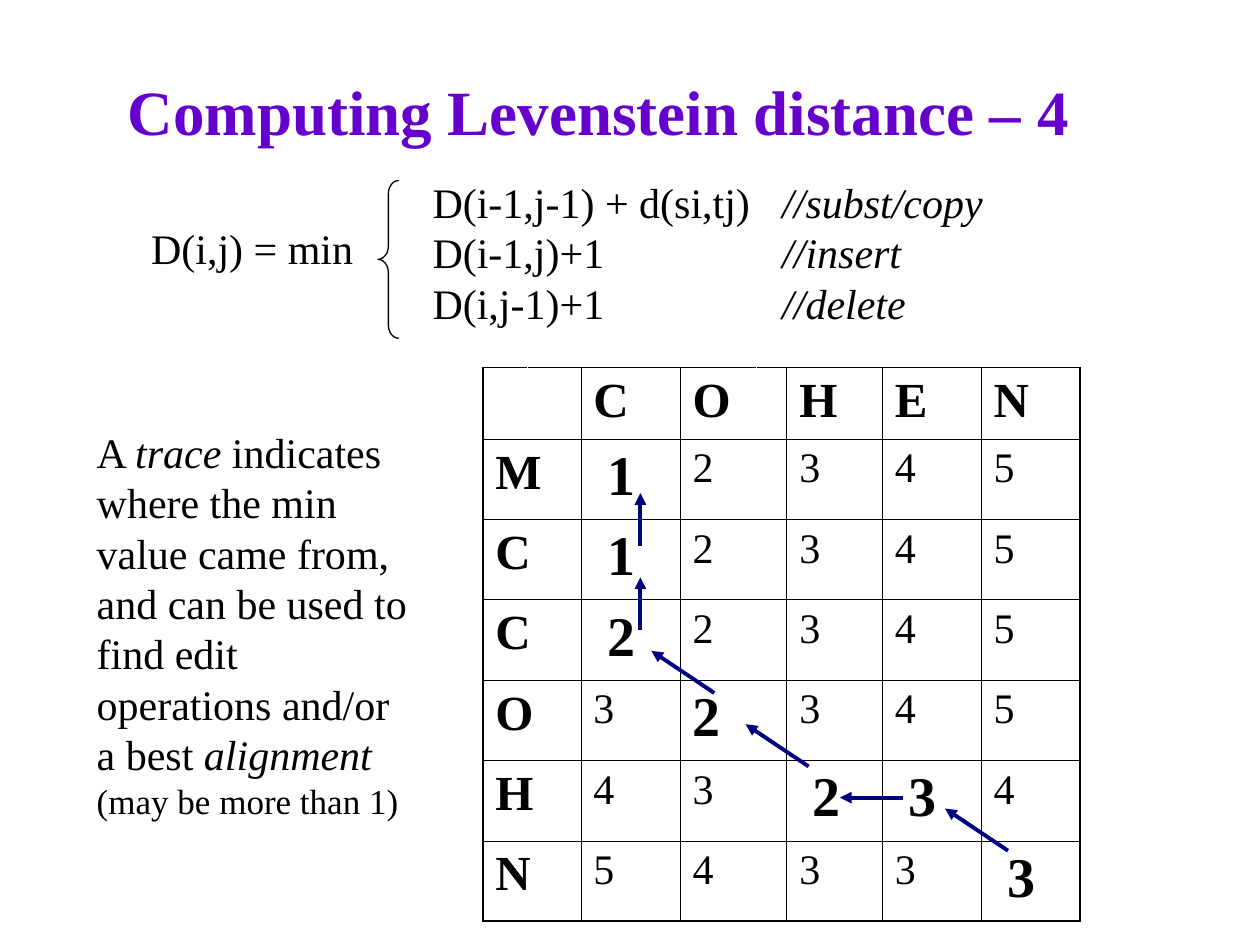
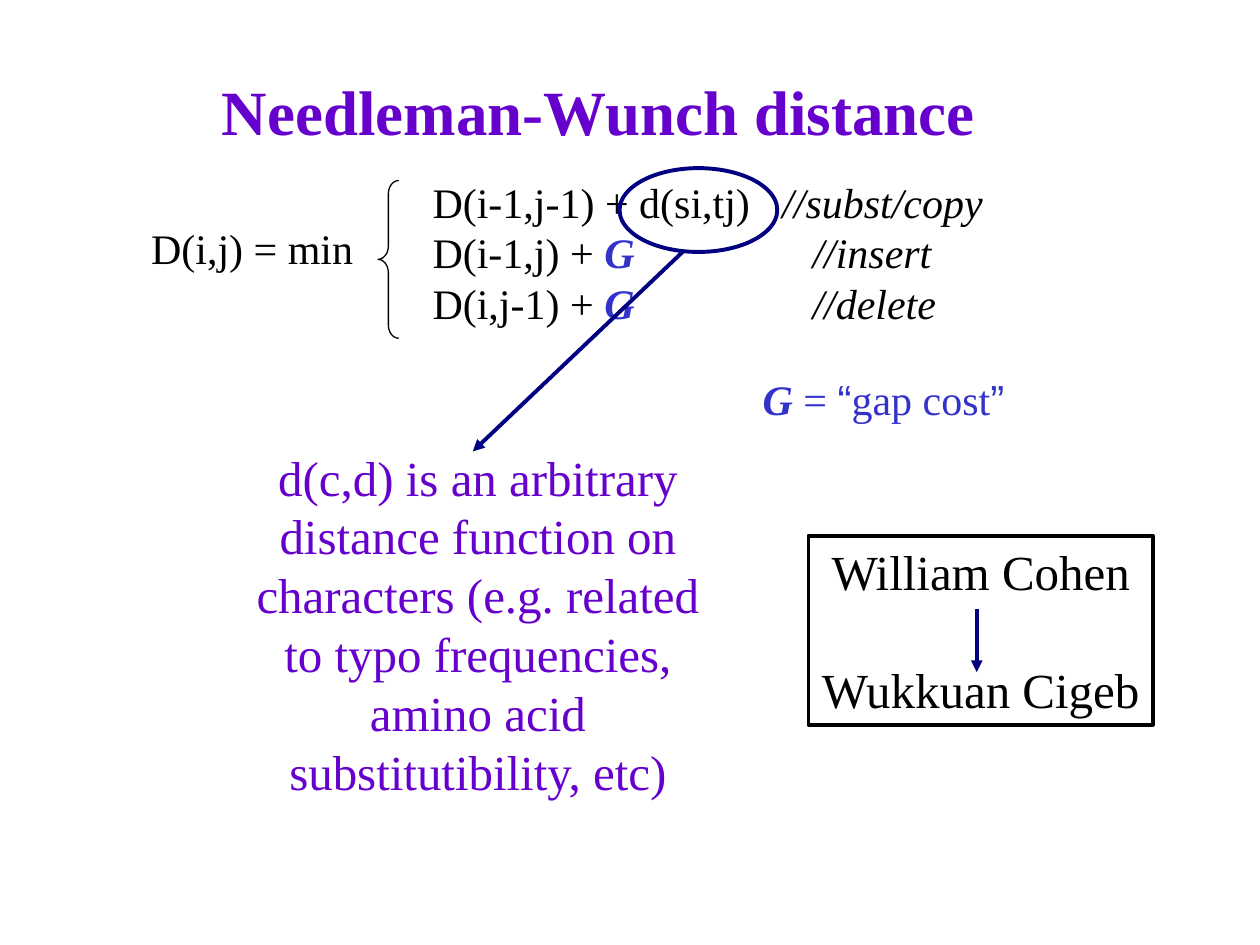
from dataclasses import dataclass

from lxml import etree
from pptx import Presentation
from pptx import util as u
from pptx.dml.color import RGBColor
from pptx.enum import shapes, text
from pptx.oxml import ns

SERIF, SANS = "Times New Roman", "Arial"
BLACK, WHITE, VIOLET, BLUE, NAVY = "000000", "FFFFFF", "6600CC", "3333CC", "000080"
LEFT, MID, RIGHT = text.PP_ALIGN.LEFT, text.PP_ALIGN.CENTER, text.PP_ALIGN.RIGHT
THIN, THICK = 0.45, 1.08


@dataclass
class Run:
    words: str
    bold: bool = False
    slant: bool = False
    hue: str = BLACK
    size: float = 24
    face: str = SERIF

    def style(self) -> tuple:
        return self.bold, self.slant, self.hue, self.size, self.face


@dataclass
class Para:
    runs: list[Run]
    align: int = LEFT
    tab: float = 0
    before: float = 0


@dataclass
class Box:
    x: float
    y: float
    w: float
    h: float

    def place(self) -> tuple:
        return tuple(u.Cm(v) for v in (self.x, self.y, self.w, self.h))


@dataclass
class Arrow:
    x: float
    y: float
    dx: float
    dy: float


@dataclass
class Edge:
    side: str
    width: float
    hue: str = BLACK


HEAD = Box(1.27, 1.06, 21.59, 2.33)
BRACE = Box(7.62, 3.64, 0.42, 3.18)
LHS = Box(2.39, 4.37, 4.98, 1.27)
CASES = Box(8.47, 3.43, 12.5, 3.3)
TRACE = Box(1.7, 8.47, 6.96, 8.23)
GRID = Box(9.73, 7.41, 12.03, 11.16)
COLS = (0.9, 1.08, 2, 1.54, 0.6, 1.93, 1.99, 1.99)
ROWS = (1.44,) + (1.62,) * 6
STARTS = (0, 2, 3, 5, 6, 7)
# Column that joins with the next one: first row in which it does.
JOINS = {0: 1, 3: 2}

# Cells on the best path end in "*"; a further "." keeps one flush left.
COSTS = (
    " C O H E N",
    "M 1* 2 3 4 5",
    "C 1* 2 3 4 5",
    "C 2* 2 3 4 5",
    "O 3 2*. 3 4 5",
    "H 4 3 2* 3* 4",
    "N 5 4 3 3 3*",
)
STEPS = (
    Arrow(20.32, 17.15, -1.27, -0.85),
    Arrow(18.2, 16.08, -1.27, 0),
    Arrow(16.3, 15.45, -1.27, -0.85),
    Arrow(14.4, 13.97, -1.27, -0.85),
    Arrow(12.91, 12.7, 0, -1.06),
    Arrow(12.91, 11, 0, -1.06),
)


def tint(hue: str) -> RGBColor:
    return RGBColor.from_string(hue)


def set_font(font, run: Run) -> None:
    font.name, font.size = run.face, u.Pt(run.size)
    font.bold, font.italic = run.bold, run.slant
    font.color.rgb = tint(run.hue)


def write(frame, paras: list[Para]) -> None:
    for i, para in enumerate(paras):
        p = frame.paragraphs[0] if i == 0 else frame.add_paragraph()
        p.alignment = para.align
        if para.before:
            p.space_before = u.Pt(para.before)
        if para.tab:
            tabs = etree.SubElement(p._p.get_or_add_pPr(), ns.qn("a:tabLst"))
            etree.SubElement(tabs, ns.qn("a:tab"), pos=str(u.Cm(para.tab)), algn="l")
        same = len({run.style() for run in para.runs}) == 1
        if same:
            set_font(p.font, para.runs[0])
        for run in para.runs:
            r = p.add_run()
            r.text = run.words
            if not same:
                set_font(r.font, run)


def add_text(slide, box: Box, paras: list[Para]) -> None:
    frame = slide.shapes.add_textbox(*box.place()).text_frame
    frame.word_wrap = True
    write(frame, paras)


def add_shape(slide, kind, box: Box, hue: str, width: float):
    shape = slide.shapes.add_shape(kind, *box.place())
    shape.shadow.inherit = False
    shape.fill.background()
    shape.line.color.rgb = tint(hue)
    shape.line.width = u.Pt(width)
    return shape


def add_arrow(slide, a: Arrow) -> None:
    ends = (u.Cm(v) for v in (a.x, a.y, a.x + a.dx, a.y + a.dy))
    line = slide.shapes.add_connector(shapes.MSO_CONNECTOR.STRAIGHT, *ends)
    line.line.color.rgb = tint(NAVY)
    line.line.width = u.Pt(2.25)
    etree.SubElement(line.line._get_or_add_ln(), ns.qn("a:tailEnd"), type="triangle")
    etree.SubElement(line._element.spPr, ns.qn("a:effectLst"))


def add_slide(deck, title: str, cases: list[Para]):
    """Add a slide with its title and the recurrence below it."""
    slide = deck.slides.add_slide(deck.slide_layouts[5])
    head = slide.shapes.title
    head.left, head.top, head.width, head.height = HEAD.place()
    head.text_frame.vertical_anchor = text.MSO_ANCHOR.MIDDLE
    write(head.text_frame, [Para([Run(title, True, hue=VIOLET, size=36)], MID)])
    brace = add_shape(slide, shapes.MSO_SHAPE.LEFT_BRACE, BRACE, BLACK, 0.75)
    brace.adjustments[0] = 0.63
    add_text(slide, LHS, [Para([Run("D(i,j) = min")], RIGHT)])
    add_text(slide, CASES, cases)
    return slide


def case(rule: list[Run], note: str, tab: float = 7.05) -> Para:
    return Para(rule + [Run("\t" + note, slant=True)], tab=tab)


def set_edges(cell, edges: list[Edge]) -> None:
    props = cell._tc.get_or_add_tcPr()
    for i, edge in enumerate(edges):
        ln = etree.Element(ns.qn(f"a:ln{edge.side}"), w=str(u.Pt(edge.width)))
        fill = etree.SubElement(ln, ns.qn("a:solidFill"))
        etree.SubElement(fill, ns.qn("a:srgbClr"), val=edge.hue)
        props.insert(i, ln)


def rule_cell(cell, i: int, k: int) -> None:
    """Draw the borders, white where a header cell is split in two."""
    cell.fill.background()
    last = k == len(COLS) - 1
    set_edges(cell, [
        Edge("L", THIN if k else THICK, WHITE if i < JOINS.get(k - 1, 0) else BLACK),
        Edge("R", THICK if last else THIN, WHITE if i < JOINS.get(k, 0) else BLACK),
        Edge("T", THIN),
        Edge("B", THICK if i == len(ROWS) - 1 else THIN),
    ])


def fill_cell(cell, mark: str, label: bool) -> None:
    best = "*" in mark
    if mark.endswith("*"):
        cell.margin_left = u.Cm(0.53)
    size = 32 if best else 28 if label else 24
    write(cell.text_frame, [Para([Run(mark.rstrip("*."), best or label, size=size)])])


def add_grid(slide) -> None:
    table = slide.shapes.add_table(len(ROWS), len(COLS), *GRID.place()).table
    table.first_row = table.horz_banding = False
    for col, width in zip(table.columns, COLS):
        col.width = u.Cm(width)
    for row, height in zip(table.rows, ROWS):
        row.height = u.Cm(height)
    for i, line in enumerate(COSTS):
        for k, first in JOINS.items():
            if i >= first:
                table.cell(i, k).merge(table.cell(i, k + 1))
        for k in range(len(COLS)):
            if not table.cell(i, k).is_spanned:
                rule_cell(table.cell(i, k), i, k)
        for k, mark in zip(STARTS, line.split(" ")):
            if mark:
                fill_cell(table.cell(i, k), mark, i == 0 or k == 0)


def trace(deck) -> None:
    slide = add_slide(deck, "Computing Levenstein distance – 4", [
        case([Run("D(i-1,j-1) + d(si,tj)")], "//subst/copy"),
        case([Run("D(i-1,j)+1")], "//insert"),
        case([Run("D(i,j-1)+1")], "//delete"),
    ])
    add_grid(slide)
    add_text(slide, TRACE, [Para([
        Run("A "),
        Run("trace ", slant=True),
        Run("indicates where the min value came from, and can be used to "
            "find edit operations and/or a best "),
        Run("alignment ", slant=True),
        Run("(may be more than 1)", size=20),
    ])])
    for step in STEPS:
        add_arrow(slide, step)


def gap(deck) -> None:
    cost = Run("G", True, True, BLUE)
    slide = add_slide(deck, "Needleman-Wunch distance", [
        case([Run("D(i-1,j-1) + d(si,tj)")], "//subst/copy"),
        case([Run("D(i-1,j) + "), cost], "//insert", 7.66),
        case([Run("D(i,j-1) + "), cost], "//delete", 7.66),
    ])
    add_shape(slide, shapes.MSO_SHAPE.OVAL, Box(12.49, 3.39, 3.18, 1.69), NAVY, 2.25)
    add_arrow(slide, Arrow(13.76, 5.08, -4.23, 4.02))
    add_text(slide, Box(4.66, 8.89, 9.95, 7.37), [Para([Run(
        "d(c,d) is an arbitrary distance function on characters (e.g. related "
        "to typo frequencies, amino acid substitutibility, etc)",
        hue=VIOLET, size=28)], MID)])
    pair = add_shape(slide, shapes.MSO_SHAPE.RECTANGLE,
                     Box(16.3, 10.8, 6.94, 3.81), BLACK, 2.25)
    pair.text_frame.word_wrap = False
    pair.text_frame.vertical_anchor = text.MSO_ANCHOR.TOP
    write(pair.text_frame, [
        Para([Run("William Cohen", size=28)], MID),
        Para([Run("Wukkuan Cigeb", size=28)], MID, before=33.6),
    ])
    add_arrow(slide, Arrow(19.69, 12.28, 0, 1.27))
    add_text(slide, Box(14.61, 7.41, 6.4, 1.27), [Para([
        Run("G ", True, True, BLUE),
        Run("= ", hue=BLUE),
        Run("“", hue=BLUE, face=SANS),
        Run("gap cost", hue=BLUE),
        Run("”", hue=BLUE, face=SANS),
    ], MID)])


def main() -> None:
    deck = Presentation()
    deck.slide_width, deck.slide_height = u.Cm(25.4), u.Cm(19.05)
    trace(deck)
    gap(deck)
    deck.save("out.pptx")


if __name__ == "__main__":
    main()
